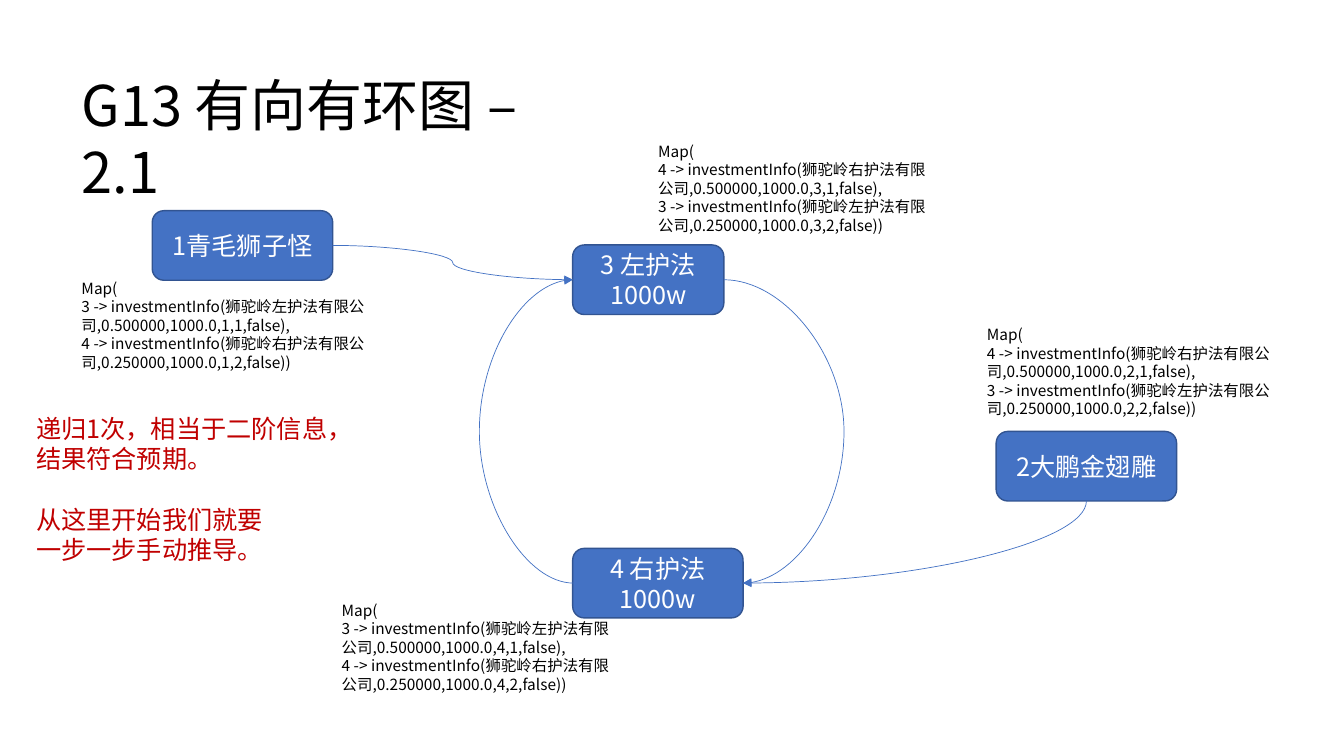
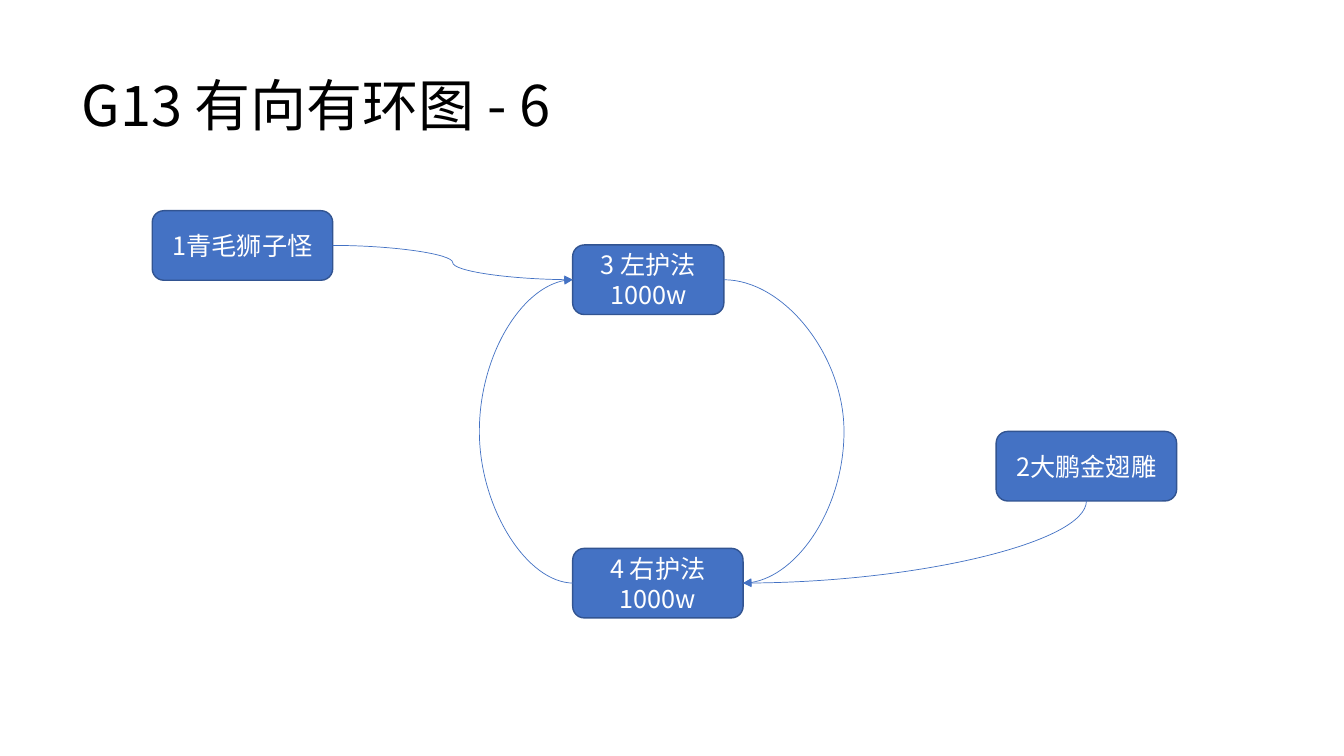
from lxml import etree
from pptx import Presentation
from pptx.dml.color import RGBColor
from pptx.enum.shapes import MSO_CONNECTOR, MSO_SHAPE
from pptx.enum.text import MSO_ANCHOR, MSO_AUTO_SIZE, PP_ALIGN
from pptx.oxml.ns import qn
from pptx.util import Inches, Pt

BLUE = RGBColor(0x44, 0x72, 0xC4)
BLUE_EDGE = RGBColor(0x32, 0x54, 0x91)
RED = RGBColor(0xC0, 0x00, 0x00)
BLACK = RGBColor(0x00, 0x00, 0x00)
WHITE = RGBColor(0xFF, 0xFF, 0xFF)
FONT = "Noto Sans CJK SC"
LINE_HEIGHT = 1.2
LEFT, CENTER = PP_ALIGN.LEFT, PP_ALIGN.CENTER
TOP, MIDDLE = MSO_ANCHOR.TOP, MSO_ANCHOR.MIDDLE
CURVE, ROUNDED = MSO_CONNECTOR.CURVE, MSO_SHAPE.ROUNDED_RECTANGLE
SITE_LEFT, SITE_BOTTOM, SITE_RIGHT = 1, 2, 3
TITLE_ONLY = 5


def write_text(shape, text, size=18, color=BLACK, align=LEFT, anchor=TOP):
    """Fill the shape; a blank line in the text becomes space before the next paragraph."""
    frame = shape.text_frame
    frame.word_wrap = True
    frame.auto_size = MSO_AUTO_SIZE.NONE
    frame.vertical_anchor = anchor
    paragraph = frame.paragraphs[0]
    for block_index, block in enumerate(text.split("\n\n")):
        for line_index, line in enumerate(block.split("\n")):
            if block_index or line_index:
                paragraph = frame.add_paragraph()
            paragraph.alignment = align
            paragraph.line_spacing = Pt(size * LINE_HEIGHT)
            starts_block = block_index and not line_index
            paragraph.space_before = Pt(size * LINE_HEIGHT if starts_block else 0)
            run = paragraph.add_run()
            run.text = line
            run.font.size = Pt(size)
            run.font.color.rgb = color
            run.font.name = FONT
            east_asian = etree.SubElement(run.font._element, qn("a:ea"))
            east_asian.set("typeface", FONT)


def add_curve(slide, start, start_site, end, end_site, bend=None, arrow="tailEnd"):
    """Join two nodes; bend is the x of the curve's middle, None makes a single quarter turn."""
    connector = slide.shapes.add_connector(CURVE, 0, 0, 0, 0)
    connector.begin_connect(start, start_site)
    connector.end_connect(end, end_site)
    if connector.begin_x == connector.end_x:
        connector.begin_x += Inches(0.01)  # the bend is a share of the width
    connector.line.color.rgb = BLUE
    connector.line.width = Pt(0.5)
    properties = connector.element.spPr
    geometry = properties.find(qn("a:prstGeom"))
    if bend is None:
        geometry.set("prst", "curvedConnector2")
    else:
        share = (Inches(bend) - connector.begin_x) / (connector.end_x - connector.begin_x)
        guide = etree.SubElement(geometry.find(qn("a:avLst")), qn("a:gd"))
        guide.set("name", "adj1")
        guide.set("fmla", f"val {round(share * 100000)}")
    line = properties.find(qn("a:ln"))
    etree.SubElement(line, qn(f"a:{arrow}")).set("type", "triangle")
    etree.SubElement(properties, qn("a:effectLst"))


presentation = Presentation()
presentation.slide_width = Inches(13.33)
presentation.slide_height = Inches(7.5)

NODE_HEIGHT = 0.69
NODES = {  # left, top, width, text
    1: (1.51, 2.09, 1.79, "1青毛狮子怪"),
    2: (9.88, 4.28, 1.79, "2大鹏金翅雕"),
    3: (5.68, 2.43, 1.5, "3 左护法\n1000w"),
    4: (5.68, 5.44, 1.69, "4 右护法\n1000w"),
}
COMPANIES = {3: "狮驼岭左护法有限公司", 4: "狮驼岭右护法有限公司"}
MAPS = [  # owner node, held companies in order, left, top, width
    (4, (3, 4), 3.29, 5.91, 2.95),
    (1, (3, 4), 0.71, 2.72, 3.01),
    (3, (4, 3), 6.43, 1.36, 2.97),
    (2, (4, 3), 9.69, 3.18, 3.14),
]
SHARES = ("0.500000", "0.250000")
CONCLUSION = "递归1次，相当于二阶信息，\n结果符合预期。\n\n从这里开始我们就要\n一步一步手动推导。"

slides = []
for title_text in ("G13 有向有环图 – 2.1", "G13 有向有环图 - 6"):
    slide = presentation.slides.add_slide(presentation.slide_layouts[TITLE_ONLY])
    slides.append(slide)
    title = slide.shapes.title
    title.left, title.top = Inches(0.71), Inches(0.65)
    title.width, title.height = Inches(5.02), Inches(1.4)
    write_text(title, title_text, size=40)

    nodes = {}
    for number, (left, top, width, label) in NODES.items():
        node = slide.shapes.add_shape(
            ROUNDED, Inches(left), Inches(top), Inches(width), Inches(NODE_HEIGHT))
        node.shadow.inherit = False
        node.fill.solid()
        node.fill.fore_color.rgb = BLUE
        node.line.color.rgb = BLUE_EDGE
        node.line.width = Pt(1)
        write_text(node, label, color=WHITE, align=CENTER, anchor=MIDDLE)
        nodes[number] = node

    add_curve(slide, nodes[1], SITE_RIGHT, nodes[3], SITE_LEFT, bend=4.49)
    add_curve(slide, nodes[4], SITE_RIGHT, nodes[2], SITE_BOTTOM, arrow="headEnd")
    add_curve(slide, nodes[4], SITE_LEFT, nodes[3], SITE_LEFT, bend=4.74)
    add_curve(slide, nodes[3], SITE_RIGHT, nodes[4], SITE_RIGHT, bend=8.37)

first_slide = slides[0]
for owner, held, left, top, width in MAPS:
    entries = [
        f"{company} -> investmentInfo({COMPANIES[company]},{share},1000.0,{owner},{order},false)"
        for order, (company, share) in enumerate(zip(held, SHARES), start=1)
    ]
    map_box = first_slide.shapes.add_textbox(
        Inches(left), Inches(top), Inches(width), Inches(1.03))
    write_text(map_box, "Map(\n" + ",\n".join(entries) + ")", size=11)

conclusion_box = first_slide.shapes.add_textbox(
    Inches(0.26), Inches(4.05), Inches(3.6), Inches(1.62))
write_text(conclusion_box, CONCLUSION, color=RED)

presentation.save("out.pptx")
